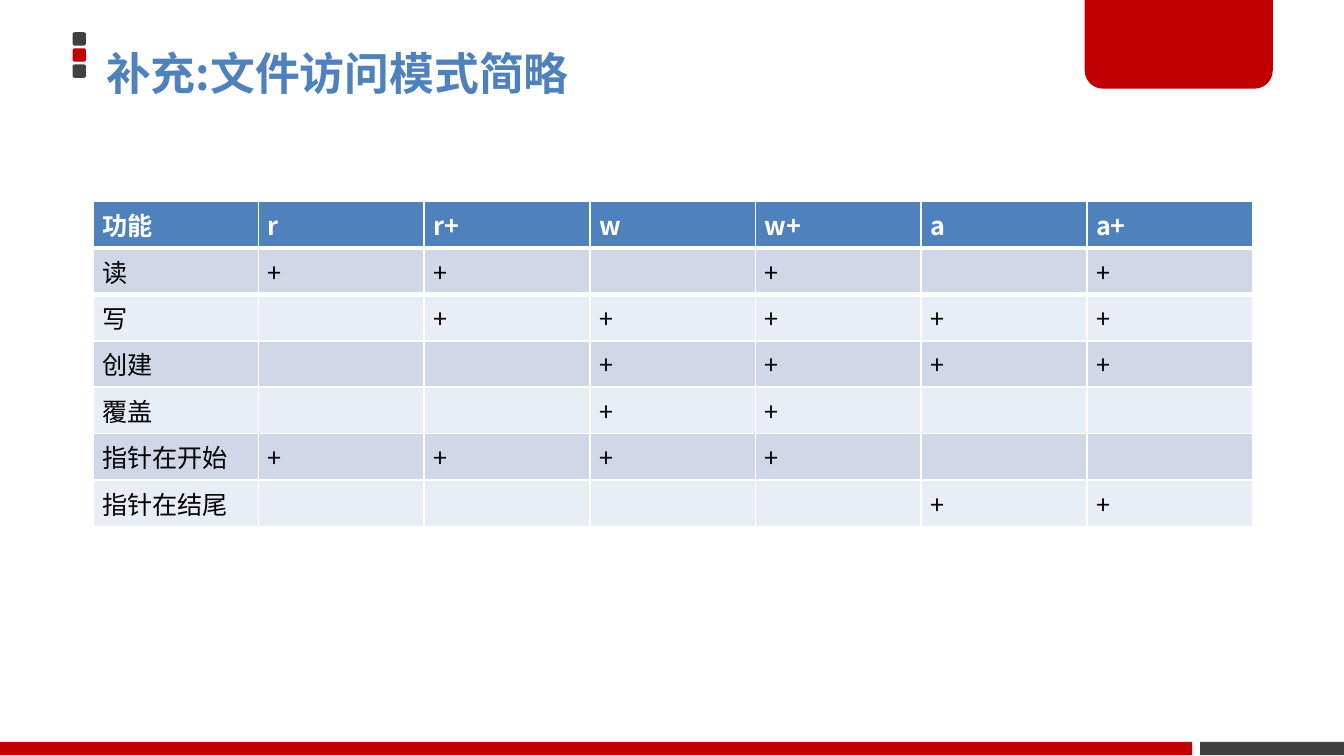
from lxml.etree import SubElement
from pptx import Presentation
from pptx.dml.color import RGBColor as RGB
from pptx.enum.shapes import MSO_SHAPE as Shape
from pptx.enum.text import MSO_ANCHOR as Anchor, PP_ALIGN as Align
from pptx.oxml.ns import qn
from pptx.util import Inches, Pt

FACE = "Noto Sans CJK SC"
RED = RGB(0xC0, 0x00, 0x00)
GRAY = RGB(0x40, 0x40, 0x40)
BLUE = RGB(0x4F, 0x81, 0xBD)
WHITE = RGB(0xFF, 0xFF, 0xFF)
BLACK = RGB(0x00, 0x00, 0x00)
BANDS = [RGB(0xE9, 0xED, 0xF4), RGB(0xD0, 0xD8, 0xE8)]

MODES = ["r", "r+", "w", "w+", "a", "a+"]
USES = {
    "读": ["r", "r+", "w+", "a+"],
    "写": ["r+", "w", "w+", "a", "a+"],
    "创建": ["w", "w+", "a", "a+"],
    "覆盖": ["w", "w+"],
    "指针在开始": ["r", "r+", "w", "w+"],
    "指针在结尾": ["a", "a+"],
}


def style(par, size, color, bold):
    font = par.font
    font.size = Pt(size)
    font.bold = bold
    font.color.rgb = color
    font.name = FACE
    SubElement(font._element, qn("a:ea"), typeface=FACE)
    SubElement(par._p, qn("a:endParaRPr"), sz=str(int(size * 100)))


def edge(cell, sides):
    props = cell._tc.get_or_add_tcPr()
    for side, width in sides.items():
        line = SubElement(props, qn(f"a:ln{side}"), w=str(Pt(width)))
        fill = SubElement(line, qn("a:solidFill"))
        SubElement(fill, qn("a:srgbClr"), val=str(WHITE))


def block(page, kind, box, color):
    item = page.shapes.add_shape(kind, *map(Inches, box))
    item.shadow.inherit = False
    item.fill.solid()
    item.fill.fore_color.rgb = color
    item.line.fill.background()
    return item


def add_marks(page, left, top, side, step):
    for i, color in enumerate([GRAY, RED, GRAY]):
        block(page, Shape.ROUNDED_RECTANGLE,
              (left, top + i * step, side, side), color)


def add_tab(page, box):
    tab = block(page, Shape.ROUND_2_SAME_RECTANGLE, box, RED)
    tab.adjustments[0] = 0.2
    tab.rotation = 180


def add_foot(page, left, top, width, height):
    tail, gap = 1.07, 0.06
    block(page, Shape.RECTANGLE,
          (left, top, width - tail - gap, height), RED)
    block(page, Shape.RECTANGLE,
          (left + width - tail, top, tail, height), GRAY)


def add_title(page, left, top, width, height):
    title = page.shapes.title
    title.left, title.top = Inches(left), Inches(top)
    title.width, title.height = Inches(width), Inches(height)
    frame = title.text_frame
    frame.text = "补充:文件访问模式简略"
    frame.vertical_anchor = Anchor.TOP
    frame.margin_left = Inches(0.1)
    frame.margin_top = Inches(0.04)
    par = frame.paragraphs[0]
    par.alignment = Align.LEFT
    style(par, 24, BLUE, True)


def add_grid(page, box):
    rows = [["功能", *MODES]]
    for use, modes in USES.items():
        rows.append([use] + ["+" if m in modes else "" for m in MODES])
    table = page.shapes.add_table(
        len(rows), len(rows[0]), *map(Inches, box)).table
    for r, row in enumerate(rows):
        head = r == 0
        for c, text in enumerate(row):
            cell = table.cell(r, c)
            cell.text = text
            cell.margin_left = cell.margin_right = Inches(0.07)
            cell.margin_top = cell.margin_bottom = Pt(2.7)
            if head:
                edge(cell, {"L": 1, "R": 1, "T": 1, "B": 3})
            elif r == 1:
                edge(cell, {"T": 3})
            cell.fill.solid()
            cell.fill.fore_color.rgb = BLUE if head else BANDS[r % 2]
            style(cell.text_frame.paragraphs[0], 13.5,
                  WHITE if head else BLACK, head)


def main():
    deck = Presentation()
    deck.slide_width, deck.slide_height = Pt(720), Pt(405)
    page = deck.slides.add_slide(deck.slide_layouts[5])
    add_marks(page, 0.54, 0.24, 0.1, 0.12)
    add_tab(page, (8.07, -0.02, 1.4, 0.68))
    add_foot(page, 0, 5.52, 10, 0.1)
    add_title(page, 0.69, 0.3, 8.62, 1.09)
    add_grid(page, (0.69, 1.5, 8.63, 2.19))
    deck.save("out.pptx")


if __name__ == "__main__":
    main()
